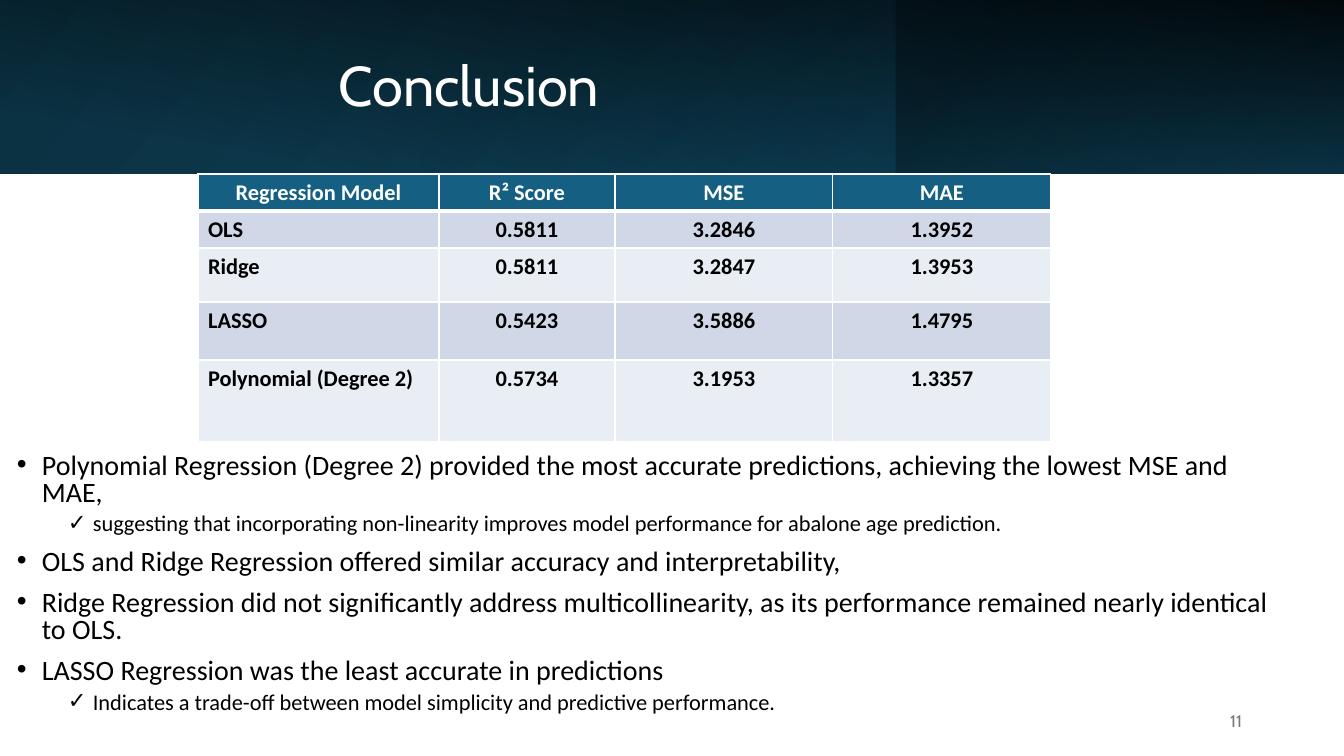
from dataclasses import dataclass

from pptx import Presentation
from pptx.dml.color import RGBColor
from pptx.enum.shapes import MSO_SHAPE
from pptx.enum.text import MSO_ANCHOR, MSO_AUTO_SIZE, PP_ALIGN
from pptx.oxml import parse_xml
from pptx.oxml.ns import nsdecls, qn
from pptx.util import Pt

PX = 9144000 / 1008
TITLE_ONLY = 5
RECTANGLE = MSO_SHAPE.RECTANGLE
TOP, MIDDLE = MSO_ANCHOR.TOP, MSO_ANCHOR.MIDDLE
LEFT, CENTER, RIGHT = PP_ALIGN.LEFT, PP_ALIGN.CENTER, PP_ALIGN.RIGHT


@dataclass(frozen=True)
class Theme:
    heading_font: str = "Cabin"
    body_font: str = "Calibri"
    white: str = "FFFFFF"
    black: str = "000000"
    grey: str = "797979"
    navy: str = "0B3041"
    deep_teal: str = "104862"
    teal: str = "156082"
    bands: tuple = ("D0D8E8", "E9EDF4")
    title_size: int = 40
    point_size: int = 20
    detail_size: int = 16
    number_size: int = 12


def px(length):
    return round(length * PX)


class SlideBuilder:
    def __init__(self, page, theme):
        self.page = page
        self.theme = theme

    def style(self, para, size, color, font=None, align=LEFT, bold=False):
        para.alignment = align
        para.font.name = font or self.theme.body_font
        para.font.size = Pt(size)
        para.font.bold = bold
        para.font.color.rgb = RGBColor.from_string(color)

    def gradient_panel(self, place, angle, stops, rotation=0, mirrored=False):
        """Stops are (position %, colour, opacity %); the angle runs clockwise."""
        panel = self.page.shapes.add_shape(RECTANGLE, *map(px, place))
        panel.shadow.inherit = False
        panel.line.fill.background()
        panel.rotation = rotation
        panel.fill.background()
        properties = panel._element.spPr
        if mirrored:
            properties.xfrm.set("flipH", "1")
        stop_xml = "".join(
            f'<a:gs pos="{position * 1000}"><a:srgbClr val="{color}">'
            f'<a:alpha val="{opacity * 1000}"/></a:srgbClr></a:gs>'
            for position, color, opacity in stops
        )
        gradient = parse_xml(
            f'<a:gradFill {nsdecls("a")} rotWithShape="1"><a:gsLst>{stop_xml}</a:gsLst>'
            f'<a:lin ang="{angle * 60000}" scaled="0"/></a:gradFill>'
        )
        properties.replace(properties.find(qn("a:noFill")), gradient)

    def title(self, place, text):
        title = self.page.shapes.title
        title.left, title.top, title.width, title.height = map(px, place)
        # Bring the title in front of the header panels
        self.page.shapes._spTree.append(title._element)
        frame = title.text_frame
        frame.text = text
        frame.vertical_anchor = MIDDLE
        frame.auto_size = MSO_AUTO_SIZE.NONE
        para = frame.paragraphs[0]
        para.line_spacing = 0.9
        self.style(para, self.theme.title_size, self.theme.white,
                   self.theme.heading_font, CENTER)

    def text_frame(self, place, anchor):
        frame = self.page.shapes.add_textbox(*map(px, place)).text_frame
        frame.word_wrap = True
        frame.vertical_anchor = anchor
        return frame

    def page_number(self, place, text):
        frame = self.text_frame(place, MIDDLE)
        frame.text = text
        self.style(frame.paragraphs[0], self.theme.number_size, self.theme.grey,
                   self.theme.heading_font, RIGHT)

    def bullets(self, place, items):
        """Items are (level, text) pairs."""
        frame = self.text_frame(place, TOP)
        for index, (level, text) in enumerate(items):
            para = frame.add_paragraph() if index else frame.paragraphs[0]
            para.text = text
            para.level = level
            para.line_spacing = 0.8
            para.space_before = Pt((5 if level else 10) if index else 0)
            properties = para._p.get_or_add_pPr()
            properties.set("marL", str(px(76 if level else 25)))
            properties.set("indent", str(px(-25)))
            mark = "✓" if level else "•"
            for bullet in ('buFont typeface="Arial"', f'buChar char="{mark}"'):
                properties.append(parse_xml(f'<a:{bullet} {nsdecls("a")}/>'))
            size = self.theme.detail_size if level else self.theme.point_size
            self.style(para, size, self.theme.black)

    def cell_borders(self, cell, top, bottom):
        properties = cell._tc.get_or_add_tcPr()
        for side, width in (("L", 1), ("R", 1), ("T", top), ("B", bottom)):
            properties.append(parse_xml(
                f'<a:ln{side} {nsdecls("a")} w="{Pt(width)}"><a:solidFill>'
                f'<a:srgbClr val="{self.theme.white}"/></a:solidFill></a:ln{side}>'
            ))

    def table(self, left, top, widths, heights, rows):
        place = map(px, (left, top, sum(widths), sum(heights)))
        table = self.page.shapes.add_table(len(rows), len(widths), *place).table
        for column, width in zip(table.columns, widths):
            column.width = px(width)
        for row, height in zip(table.rows, heights):
            row.height = px(height)
        for r, values in enumerate(rows):
            header = r == 0
            fill = self.theme.teal if header else self.theme.bands[(r - 1) % 2]
            color = self.theme.white if header else self.theme.black
            for c, value in enumerate(values):
                cell = table.cell(r, c)
                cell.text = value
                self.cell_borders(cell, 3 if r == 1 else 1, 3 if header else 1)
                cell.fill.solid()
                cell.fill.fore_color.rgb = RGBColor.from_string(fill)
                self.style(cell.text_frame.paragraphs[0], self.theme.detail_size, color,
                           align=CENTER if header or c else LEFT, bold=True)


def main():
    theme = Theme()
    deck = Presentation()
    deck.slide_width, deck.slide_height = px(1344), px(756)
    page = deck.slides.add_slide(deck.slide_layouts[TITLE_ONLY])
    builder = SlideBuilder(page, theme)

    builder.gradient_panel((0, 0, 1344, 174), 140,
                           [(0, theme.navy, 100), (100, theme.deep_teal, 100)],
                           mirrored=True)
    builder.gradient_panel((896, 0, 448, 174), 320,
                           [(19, theme.navy, 68), (100, theme.teal, 79)],
                           rotation=180, mirrored=True)
    builder.gradient_panel((585, -585, 174, 1344), 190,
                           [(16, theme.black, 0), (99, theme.black, 87)], rotation=90)
    builder.gradient_panel((421, 0, 475, 174), 240,
                           [(0, theme.teal, 17), (74, theme.navy, 0)])
    builder.title((78, 39, 782, 99), "Conclusion")
    builder.page_number((950, 701, 302, 40), "11")

    builder.table(198, 174, (241, 176, 218, 218), (37, 37, 54, 58, 82), [
        ("Regression Model", "R² Score", "MSE", "MAE"),
        ("OLS", "0.5811", "3.2846", "1.3952"),
        ("Ridge", "0.5811", "3.2847", "1.3953"),
        ("LASSO", "0.5423", "3.5886", "1.4795"),
        ("Polynomial (Degree 2)", "0.5734", "3.1953", "1.3357"),
    ])
    builder.bullets((7, 449, 1282, 287), [
        (0, "Polynomial Regression (Degree 2) provided the most accurate predictions, "
            "achieving the lowest MSE and MAE,"),
        (1, "suggesting that incorporating non-linearity improves model performance "
            "for abalone age prediction."),
        (0, "OLS and Ridge Regression offered similar accuracy and interpretability,"),
        (0, "Ridge Regression did not significantly address multicollinearity, "
            "as its performance remained nearly identical to OLS."),
        (0, "LASSO Regression was the least accurate in predictions"),
        (1, "Indicates a trade-off between model simplicity and predictive performance."),
    ])
    deck.save("out.pptx")


if __name__ == "__main__":
    main()
